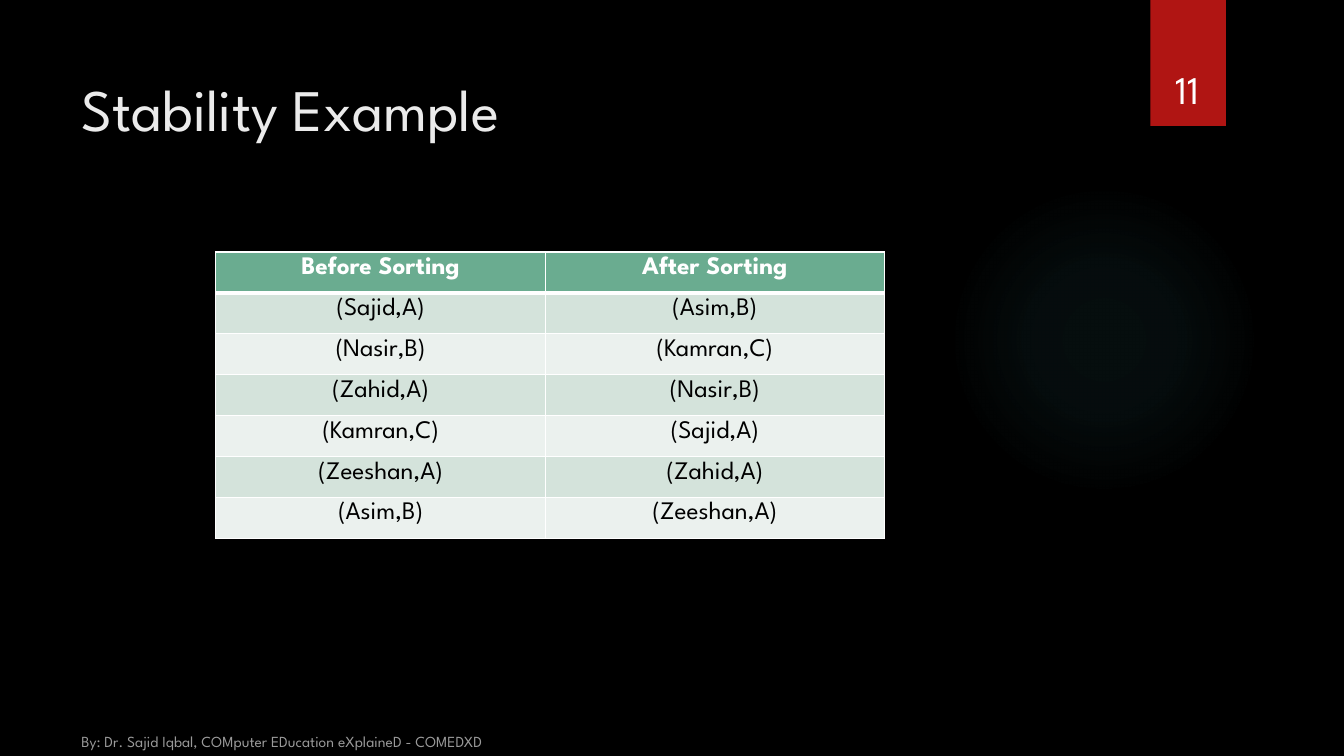
from lxml import etree
from pptx import Presentation
from pptx.dml.color import RGBColor
from pptx.enum.shapes import MSO_SHAPE
from pptx.enum.text import MSO_ANCHOR, PP_ALIGN
from pptx.oxml import parse_xml
from pptx.oxml.ns import nsdecls, qn
from pptx.util import Inches, Pt

LEFT, CENTER = PP_ALIGN.LEFT, PP_ALIGN.CENTER
TOP, BOTTOM = MSO_ANCHOR.TOP, MSO_ANCHOR.BOTTOM
RECTANGLE, OVAL = MSO_SHAPE.RECTANGLE, MSO_SHAPE.OVAL

# Content
FONT = "League Spartan"
TITLE = "Stability Example"
FOOTER = "By: Dr. Sajid Iqbal, COMputer EDucation eXplaineD - COMEDXD"
PAGE_NUMBER = "11"
ROWS = [
    ("Before Sorting", "After Sorting"),
    ("(Sajid,A)", "(Asim,B)"),
    ("(Nasir,B)", "(Kamran,C)"),
    ("(Zahid,A)", "(Nasir,B)"),
    ("(Kamran,C)", "(Sajid,A)"),
    ("(Zeeshan,A)", "(Zahid,A)"),
    ("(Asim,B)", "(Zeeshan,A)"),
]
WHITE, BLACK, RED = "FFFFFF", "000000", "B01513"
TITLE_COLOR, FOOTER_COLOR = "EBEBEB", "999999"
HEADER_FILL, BAND_FILLS = "6AAC90", ("EBF1EE", "D4E3DB")
GLOW_COLOR = "50B9C1"
GLOW_STOPS = [(0, 7), (36, 6), (69, 0)]  # position and opacity, percent

# Layout in inches
SLIDE_WIDTH, SLIDE_HEIGHT = 13.33, 7.5
MARGIN_LEFT = 0.71
TABLE_LEFT, TABLE_TOP, TABLE_HEIGHT = 2.14, 2.5, 2.84
COLUMN_WIDTHS = (3.27, 3.36)


def color(value):
    return RGBColor.from_string(value)


def style_paragraph(paragraph, size, text_color, align, bold=False):
    paragraph.alignment = align
    font = paragraph.font
    for run in paragraph.runs:
        font = run.font
        font.name, font.size, font.bold = FONT, Pt(size), bold
        font.color.rgb = color(text_color)


def add_text(slide, box, text, size, text_color, align=LEFT, anchor=BOTTOM):
    shape = slide.shapes.add_textbox(*map(Inches, box))
    frame = shape.text_frame
    frame.word_wrap = True
    frame.vertical_anchor = anchor
    frame.text = text
    style_paragraph(frame.paragraphs[0], size, text_color, align)
    return shape


def add_plain_shape(slide, kind, box):
    shape = slide.shapes.add_shape(kind, *map(Inches, box))
    shape.shadow.inherit = False
    shape.line.fill.background()
    return shape


def fill_glow(shape):
    stops = "".join(
        f'<a:gs pos="{position * 1000}"><a:srgbClr val="{GLOW_COLOR}">'
        f'<a:alpha val="{opacity * 1000}"/></a:srgbClr></a:gs>'
        for position, opacity in GLOW_STOPS)
    gradient = parse_xml(
        f'<a:gradFill {nsdecls("a")} rotWithShape="1"><a:gsLst>{stops}</a:gsLst>'
        '<a:path path="circle"><a:fillToRect l="50000" t="50000" r="50000" '
        'b="50000"/></a:path></a:gradFill>')
    shape.element.spPr.find(qn("a:prstGeom")).addnext(gradient)


def set_borders(cell, widths):
    properties = cell._tc.get_or_add_tcPr()
    for index, (side, width) in enumerate(widths.items()):
        line = etree.Element(qn(f"a:ln{side}"), w=str(Pt(width)))
        fill = etree.SubElement(line, qn("a:solidFill"))
        etree.SubElement(fill, qn("a:srgbClr"), val=WHITE)
        properties.insert(index, line)


def add_sorting_table(slide):
    table = slide.shapes.add_table(
        len(ROWS), len(COLUMN_WIDTHS), Inches(TABLE_LEFT), Inches(TABLE_TOP),
        Inches(sum(COLUMN_WIDTHS)), Inches(TABLE_HEIGHT)).table
    for column, width in zip(table.columns, COLUMN_WIDTHS):
        column.width = Inches(width)
    for row, values in enumerate(ROWS):
        header = row == 0
        for column, value in enumerate(values):
            cell = table.cell(row, column)
            cell.text = value
            cell.vertical_anchor = TOP
            style_paragraph(cell.text_frame.paragraphs[0], 18,
                            WHITE if header else BLACK, CENTER, header)
            cell.fill.solid()
            cell.fill.fore_color.rgb = color(
                HEADER_FILL if header else BAND_FILLS[row % 2])
            set_borders(cell, {"L": 1, "R": 1, "T": 3 if row == 1 else 1,
                               "B": 3 if header else 1})


def main():
    presentation = Presentation()
    presentation.slide_width = Inches(SLIDE_WIDTH)
    presentation.slide_height = Inches(SLIDE_HEIGHT)
    slide = presentation.slides.add_slide(presentation.slide_layouts[6])
    slide.background.fill.solid()
    slide.background.fill.fore_color.rgb = color(BLACK)

    # Backdrop glow and page number ribbon
    fill_glow(add_plain_shape(slide, OVAL, (9.41, 1.83, 3.08, 3.08)))
    ribbon = add_plain_shape(slide, RECTANGLE, (11.41, 0, 0.75, 1.25))
    ribbon.fill.solid()
    ribbon.fill.fore_color.rgb = color(RED)

    # Title, footer and page number
    title = add_text(slide, (MARGIN_LEFT, 0.5, 10.29, 1.53), TITLE, 42,
                     TITLE_COLOR, anchor=TOP)
    title.text_frame.margin_top = Inches(0.22)
    add_text(slide, (MARGIN_LEFT, SLIDE_HEIGHT - 0.33, 4.22, 0.33), FOOTER, 11,
             FOOTER_COLOR)
    add_text(slide, (11.32, 0.32, 0.92, 0.84), PAGE_NUMBER, 28, WHITE, CENTER)

    # Before and after table
    add_sorting_table(slide)
    presentation.save("out.pptx")


if __name__ == "__main__":
    main()
